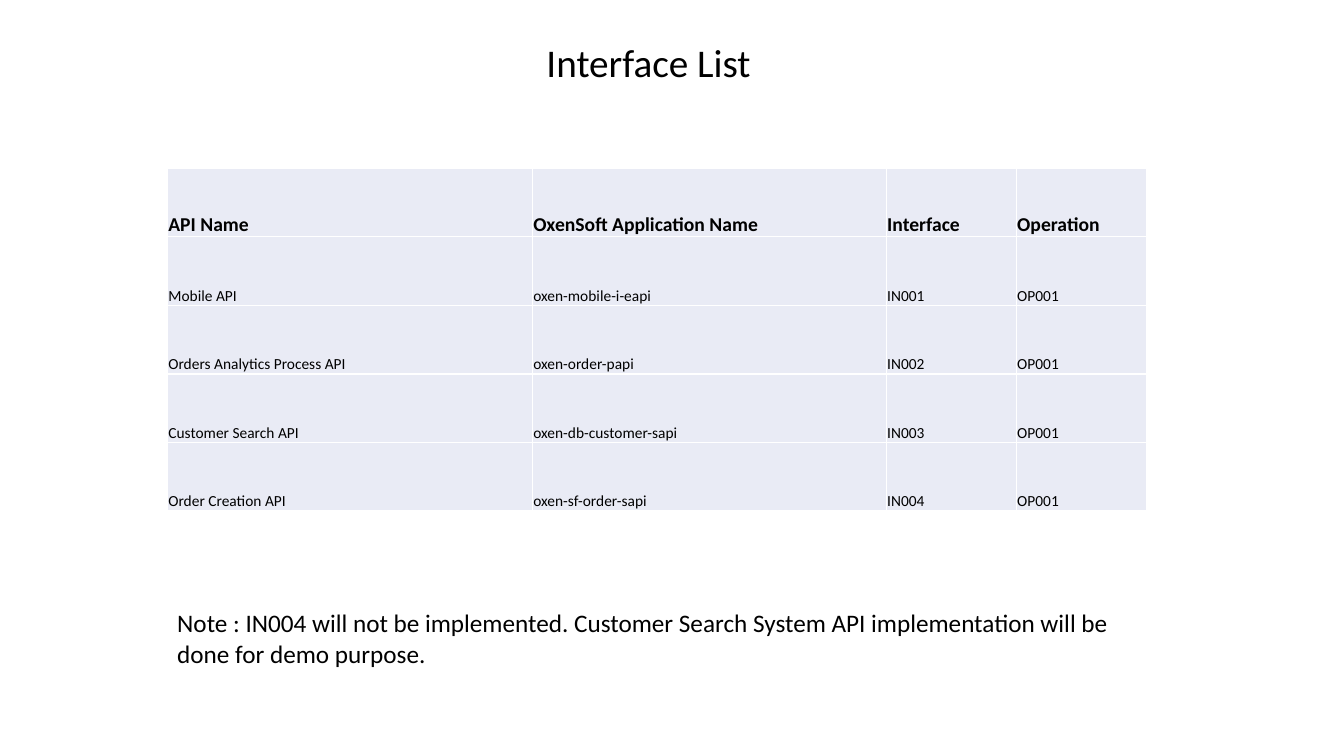
from dataclasses import dataclass

from lxml.etree import SubElement
from pptx import Presentation
from pptx.dml.color import RGBColor
from pptx.enum.text import MSO_ANCHOR, MSO_AUTO_SIZE, PP_ALIGN
from pptx.oxml.ns import qn
from pptx.util import Inches, Pt


@dataclass(frozen=True)
class Theme:
    font: str = "Calibri"
    ink: str = "000000"
    cell_fill: str = "E9EBF5"
    border: str = "FFFFFF"
    border_width: float = 1
    title_size: int = 28
    note_size: int = 18
    header_size: int = 14
    body_size: int = 11


class SlideBuilder:
    def __init__(self, deck, theme):
        self.theme = theme
        self.page = deck.slides.add_slide(deck.slide_layouts[5])

    def add_text(self, frame, text, size, bold=False):
        para = frame.paragraphs[0]
        para.alignment = PP_ALIGN.LEFT
        span = para.add_run()
        span.text = text
        span.font.name = self.theme.font
        span.font.size = Pt(size)
        span.font.bold = bold
        span.font.color.rgb = RGBColor.from_string(self.theme.ink)

    def fit_frame(self, box):
        frame = box.text_frame
        frame.word_wrap = True
        frame.auto_size = MSO_AUTO_SIZE.SHAPE_TO_FIT_TEXT
        frame.vertical_anchor = MSO_ANCHOR.TOP
        return frame

    def title(self, text, left, top, width, height):
        box = self.page.shapes.title
        box.left, box.top = Inches(left), Inches(top)
        box.width, box.height = Inches(width), Inches(height)
        self.add_text(self.fit_frame(box), text, self.theme.title_size)

    def note(self, text, left, top, width, height):
        box = self.page.shapes.add_textbox(
            Inches(left), Inches(top), Inches(width), Inches(height))
        self.add_text(self.fit_frame(box), text, self.theme.note_size)

    def table(self, rows, left, top, column_widths, row_height):
        """Add a table whose first row is the header."""
        table = self.page.shapes.add_table(
            len(rows), len(column_widths), Inches(left), Inches(top),
            Inches(sum(column_widths)), Inches(row_height * len(rows))).table
        table.horz_banding = False
        for column, width in zip(table.columns, column_widths):
            column.width = Inches(width)
        for row_index, values in enumerate(rows):
            table.rows[row_index].height = Inches(row_height)
            for column_index, value in enumerate(values):
                self.fill_cell(table.cell(row_index, column_index), value, row_index == 0)

    def fill_cell(self, cell, text, is_header):
        cell.margin_left = cell.margin_top = cell.margin_right = Inches(0.01)
        cell.margin_bottom = 0
        cell.vertical_anchor = MSO_ANCHOR.BOTTOM
        self.add_borders(cell)
        cell.fill.solid()
        cell.fill.fore_color.rgb = RGBColor.from_string(self.theme.cell_fill)
        size = self.theme.header_size if is_header else self.theme.body_size
        self.add_text(cell.text_frame, text, size, bold=is_header)

    def add_borders(self, cell):
        properties = cell._tc.get_or_add_tcPr()
        for side in ("a:lnL", "a:lnR", "a:lnT", "a:lnB"):
            line = SubElement(properties, qn(side), w=str(Pt(self.theme.border_width)))
            fill = SubElement(line, qn("a:solidFill"))
            SubElement(fill, qn("a:srgbClr"), val=self.theme.border)


INTERFACES = [
    ("API Name", "OxenSoft Application Name", "Interface", "Operation"),
    ("Mobile API", "oxen-mobile-i-eapi", "IN001", "OP001"),
    ("Orders Analytics Process API", "oxen-order-papi", "IN002", "OP001"),
    ("Customer Search API", "oxen-db-customer-sapi", "IN003", "OP001"),
    ("Order Creation API", "oxen-sf-order-sapi", "IN004", "OP001"),
]
NOTE = ("Note : IN004 will not be implemented. Customer Search System API "
        "implementation will be done for demo purpose.")


def main():
    deck = Presentation()
    deck.slide_width, deck.slide_height = Inches(13.33), Inches(7.5)
    slide = SlideBuilder(deck, Theme())
    slide.title("Interface List", 5.32, 0.33, 6.67, 0.57)
    slide.table(INTERFACES, 1.66, 1.67, (3.62, 3.51, 1.29, 1.29), 0.68)
    slide.note(NOTE, 1.66, 5.98, 9.7, 0.71)
    deck.save("out.pptx")


if __name__ == "__main__":
    main()
